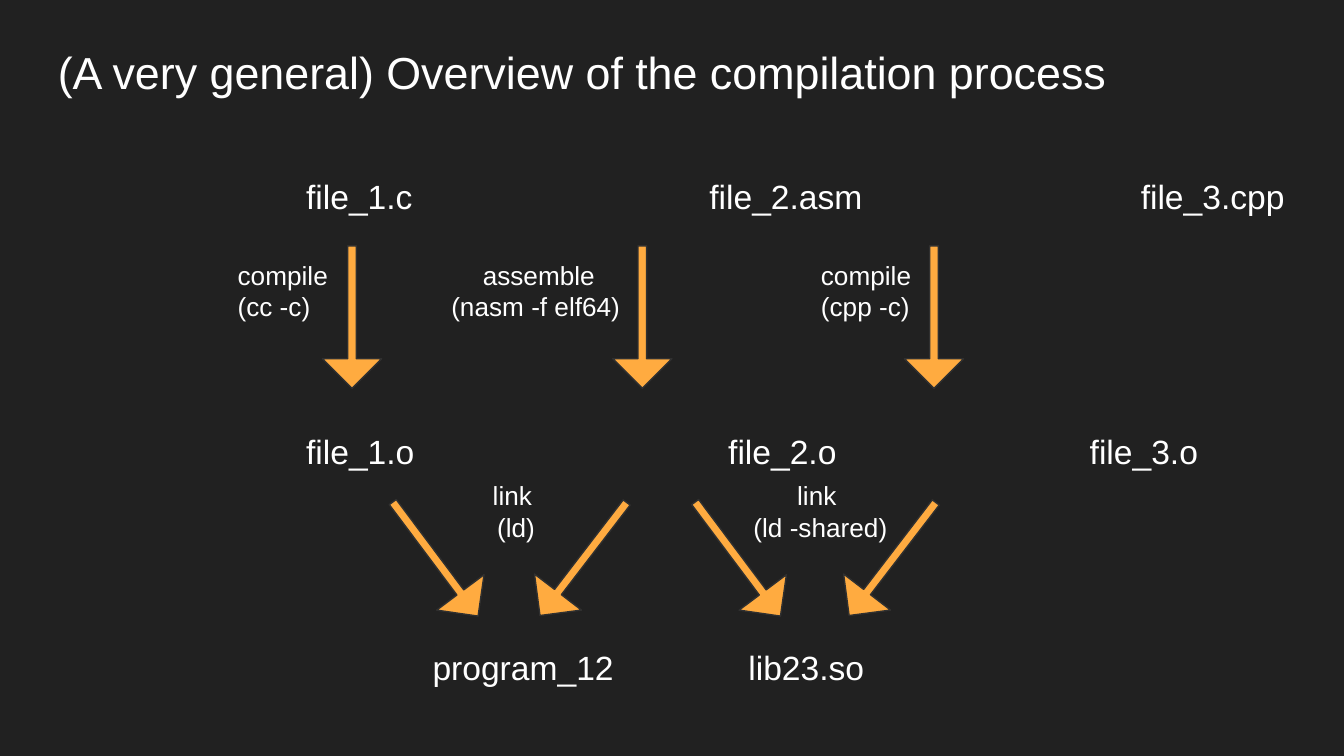
import pptx
import pptx.util
import pptx.dml.color
import pptx.enum.shapes
import pptx.enum.text
import pptx.oxml
import pptx.oxml.ns

Inches = pptx.util.Inches
ALIGN = pptx.enum.text.PP_ALIGN
LEFT, CENTER = ALIGN.LEFT, ALIGN.CENTER


def rgb(value):
    return pptx.dml.color.RGBColor.from_string(value)


def write_text(shape, box, size, lines, tab_stops=()):
    """Place the shape and fill it with (text, alignment) lines."""
    shape.left, shape.top, shape.width, shape.height = map(Inches, box)
    frame = shape.text_frame
    frame.word_wrap = True
    frame.auto_size = pptx.enum.text.MSO_AUTO_SIZE.NONE
    frame.vertical_anchor = pptx.enum.text.MSO_ANCHOR.TOP
    frame.margin_left = frame.margin_right = Inches(0.1)
    frame.margin_top = frame.margin_bottom = Inches(0.1)
    for index, (text, alignment) in enumerate(lines):
        paragraph = frame.add_paragraph() if index else frame.paragraphs[0]
        paragraph.alignment = alignment
        if tab_stops:
            tabs = "".join(f'<a:tab pos="{Inches(stop)}" algn="l"/>' for stop in tab_stops)
            paragraph._p.get_or_add_pPr().append(pptx.oxml.parse_xml(
                f'<a:tabLst {pptx.oxml.ns.nsdecls("a")}>{tabs}</a:tabLst>'))
        run = paragraph.add_run()
        run.text = text
        run.font.name = "Arial"
        run.font.size = pptx.util.Pt(size)
        run.font.color.rgb = rgb("FFFFFF")


presentation = pptx.Presentation()
presentation.slide_width = Inches(10)
presentation.slide_height = Inches(10 * 9 / 16)
slide = presentation.slides.add_slide(presentation.slide_layouts[5])
slide.background.fill.solid()
slide.background.fill.fore_color.rgb = rgb("212121")

write_text(slide.shapes.title, (0.33, 0.23, 9.34, 0.6), 24,
           [("(A very general) Overview of the compilation process", LEFT)])

# Rows of files, spread over tab stops
file_rows = [
    (1.21, ["file_1.c", "file_2.asm", "file_3.cpp"], (1.85, 4.85, 8.06)),
    (3.11, ["file_1.o", "file_2.o", "file_3.o"], (1.85, 4.99, 7.68)),
]
for top, names, tab_stops in file_rows:
    row = slide.shapes.add_textbox(0, 0, 0, 0)
    text = "".join("\t" + name for name in names)
    write_text(row, (0.33, top, 9.34, 0.51), 18, [(text, LEFT)], tab_stops)

# Arrows: left, top, rotation
compile_arrows = [(left, 1.83, 0) for left in (2.4, 4.56, 6.73)]
link_arrows = [(left, 3.63, rotation) for left, rotation in
               ((3.02, -36.8), (4.12, 37.5), (5.27, -36.8), (6.42, 37.5))]
for left, top, rotation in compile_arrows + link_arrows:
    arrow = slide.shapes.add_shape(
        pptx.enum.shapes.MSO_SHAPE.DOWN_ARROW,
        Inches(left), Inches(top), Inches(0.44), Inches(1.06))
    arrow.adjustments[0] = 0.146
    arrow.adjustments[1] = 0.5
    arrow.rotation = rotation
    arrow.shadow.inherit = False
    arrow.fill.solid()
    arrow.fill.fore_color.rgb = rgb("FFAB40")
    arrow.line.color.rgb = rgb("303030")
    arrow.line.width = pptx.util.Pt(0.75)

# Commands beside the arrows
step_labels = [
    (1.67, 1.83, 1.16, [("compile", LEFT), ("(cc -c)", LEFT)]),
    (3.26, 1.83, 1.5, [("assemble", CENTER), ("(nasm -f elf64)", LEFT)]),
    (6.01, 1.83, 1.16, [("compile", LEFT), ("(cpp -c)", LEFT)]),
    (3.26, 3.47, 1.16, [("link ", CENTER), ("(ld)", CENTER)]),
    (5.42, 3.47, 1.37, [("link ", CENTER), ("(ld -shared)", CENTER)]),
]
for left, top, width, lines in step_labels:
    label = slide.shapes.add_textbox(0, 0, 0, 0)
    write_text(label, (left, top, width, 0.67), 14, lines)

# Linked results
for left, width, name in ((3.12, 1.64, "program_12"), (5.47, 1.26, "lib23.so")):
    result = slide.shapes.add_textbox(0, 0, 0, 0)
    write_text(result, (left, 4.71, width, 0.51), 18, [(name, LEFT)])

presentation.save("out.pptx")
